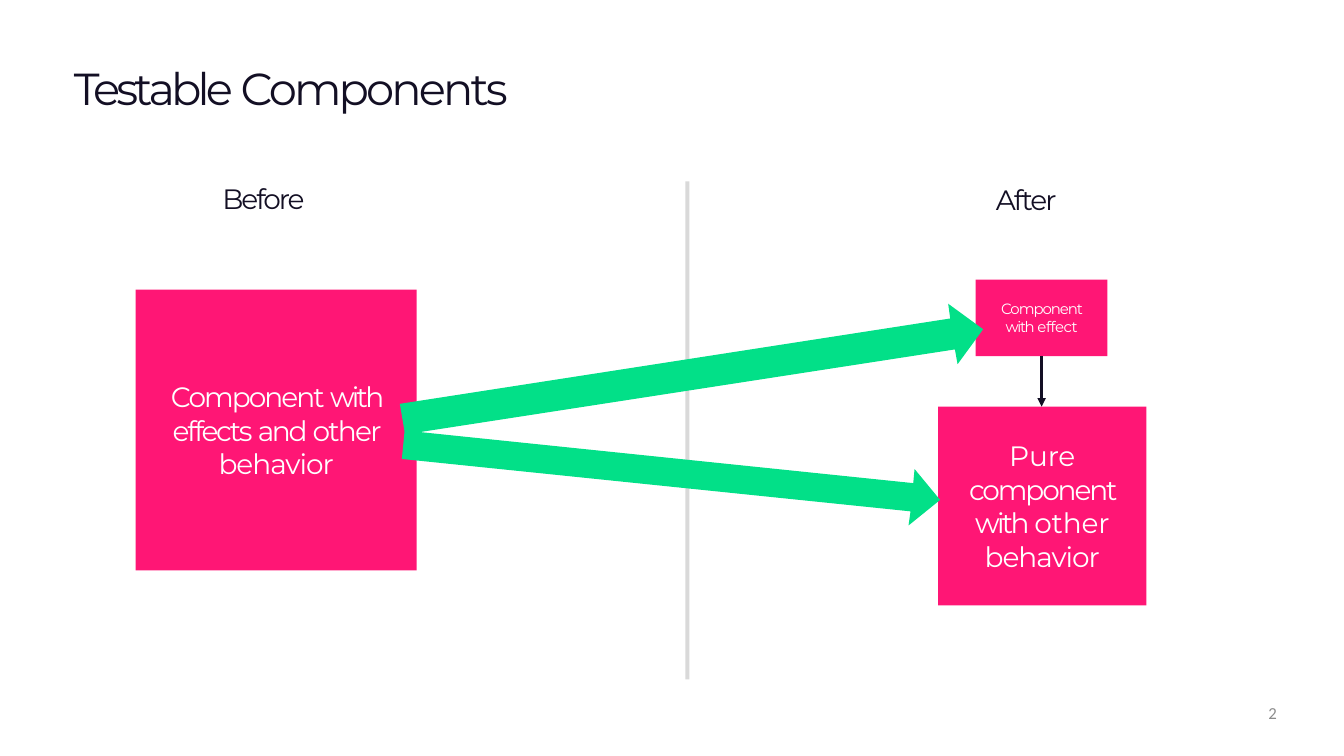
from lxml import etree
from pptx import Presentation
from pptx import util as u
from pptx.dml.color import RGBColor
from pptx.enum import shapes, text
from pptx.oxml.ns import qn

WIDTH, HEIGHT = 20, 11.25
INK, PINK, GREEN, GREY, WHITE = "130F24", "FF1675", "02E088", "D9D9D9", "FFFFFF"
LEFT, CENTER, RIGHT = text.PP_ALIGN.LEFT, text.PP_ALIGN.CENTER, text.PP_ALIGN.RIGHT

# Words are paired with their letter spacing in points.
TITLE = [("Testable ", -4.2), ("Components", -3.1)]
HEADINGS = [
    ((3.31, 2.7, 1.34, 0.53), [("Before", -2.2)]),
    ((14.82, 2.71, 1.01, 0.53), [("After", -2.1)]),
]
COMPONENTS = [
    ((2.02, 4.31, 4.18, 4.18), 30,
     [("Component ", -2.1), ("with ", -3), ("effects ", -2.4),
      ("and ", -2.5), ("other ", -1.9), ("behavior", -1.1)]),
    ((14.52, 4.16, 1.96, 1.14), 16,
     [("Component ", -1.1), ("with ", -1.4), ("effect", -0.5)]),
    ((13.96, 6.05, 3.1, 2.96), 30,
     [("Pure ", -0.2), ("component ", -2.3), ("with ", -2.8),
      ("other ", -0.2), ("behavior", -1.1)]),
]
DIVIDER = (10.2, 2.7, 0.06, 7.41)
SPLIT_ARROW = [
    (14.63, 4.9), (14.11, 4.52), (14.14, 4.74), (5.95, 6.01), (6.02, 6.42),
    (5.98, 6.83), (13.55, 7.61), (13.52, 7.82), (13.99, 7.44), (13.61, 6.98),
    (13.59, 7.19), (6.25, 6.43), (14.21, 5.2), (14.25, 5.42),
]
PAGE_NUMBER = ((14.4, 10.46, 4.6, 0.56), [("2", 0)])


def color(value):
    return RGBColor.from_string(value)


def inches(lengths):
    return [u.Inches(length) for length in lengths]


def paint(shape, fill):
    shape.shadow.inherit = False
    shape.fill.solid()
    shape.fill.fore_color.rgb = color(fill)
    shape.line.fill.background()


def write(shape, words, size, ink=INK, font="Montserrat", align=LEFT,
          anchor=text.MSO_ANCHOR.TOP, margin=0, wrap=True):
    frame = shape.text_frame
    frame.word_wrap = wrap
    frame.auto_size = text.MSO_AUTO_SIZE.NONE
    frame.vertical_anchor = anchor
    frame.margin_left = frame.margin_right = u.Inches(margin)
    frame.margin_top = frame.margin_bottom = 0
    para = frame.paragraphs[0]
    para.alignment = align
    para.font.name, para.font.size = font, u.Pt(size)
    para.font.color.rgb = color(ink)
    for word, spacing in words:
        span = para.add_run()
        span.text = word
        if spacing:
            span._r.get_or_add_rPr().set("spc", str(round(spacing * 100)))


def add_box(page, place, fill):
    box = page.shapes.add_shape(shapes.MSO_SHAPE.RECTANGLE, *inches(place))
    paint(box, fill)
    return box


def add_outline(page, corners, fill):
    start, *others = [inches(corner) for corner in corners]
    outline = page.shapes.build_freeform(*start)
    outline.add_line_segments(others, close=True)
    paint(outline.convert_to_shape(), fill)


def add_down_arrow(page, upper, lower):
    """Join the bottom of the upper box to the top of the lower one."""
    center = upper.left + upper.width // 2
    arrow = page.shapes.add_connector(
        shapes.MSO_CONNECTOR.STRAIGHT, center, upper.top + upper.height,
        center, lower.top)
    arrow.line.color.rgb = color(INK)
    arrow.line.width = u.Pt(3)
    etree.SubElement(arrow.line._get_or_add_ln(), qn("a:tailEnd"), type="triangle")
    etree.SubElement(arrow._element.spPr, qn("a:effectLst"))


def main():
    deck = Presentation()
    deck.slide_width, deck.slide_height = inches((WIDTH, HEIGHT))
    page = deck.slides.add_slide(deck.slide_layouts.get_by_name("Title Only"))

    title = page.shapes.title
    title.left, title.top, title.width, title.height = inches((1.1, 0.9, 7.1, 0.83))
    write(title, TITLE, 48)

    add_box(page, DIVIDER, GREY)
    boxes = []
    for place, size, words in COMPONENTS:
        box = add_box(page, place, PINK)
        write(box, words, size, WHITE, align=CENTER,
              anchor=text.MSO_ANCHOR.MIDDLE, margin=0.3)
        boxes.append(box)
    add_down_arrow(page, *boxes[1:])
    add_outline(page, SPLIT_ARROW, GREEN)

    for place, words in HEADINGS:
        write(page.shapes.add_textbox(*inches(place)), words, 30, wrap=False)
    place, words = PAGE_NUMBER
    write(page.shapes.add_textbox(*inches(place)), words, 18, "8C8C8C",
          "Calibri", RIGHT)

    deck.save("out.pptx")


if __name__ == "__main__":
    main()
